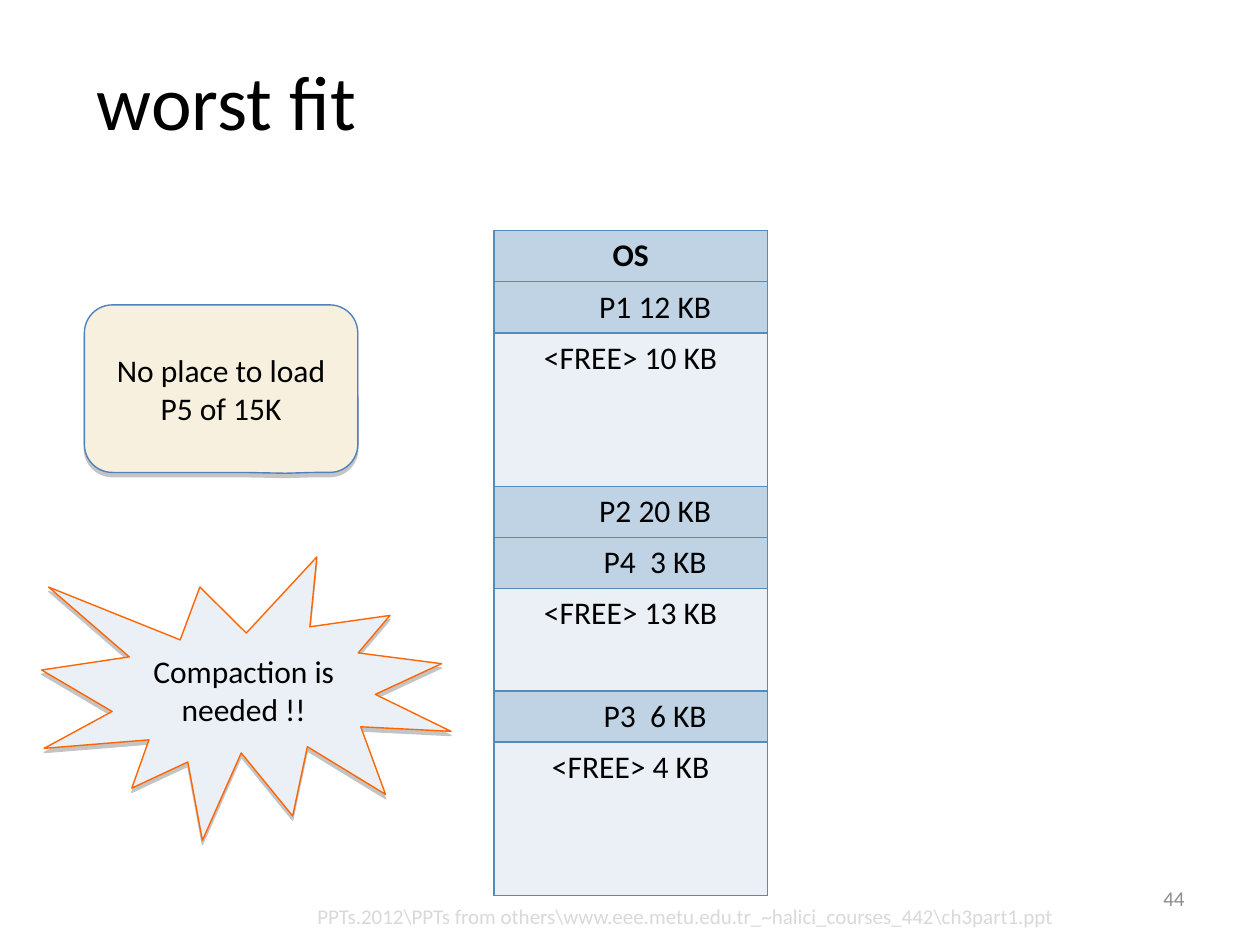
from lxml.etree import SubElement
from pptx import Presentation
from pptx.dml.color import RGBColor
from pptx.enum.shapes import MSO_SHAPE as Shape
from pptx.enum.text import MSO_ANCHOR as Anchor, PP_ALIGN as Align
from pptx.oxml import parse_xml
from pptx.oxml.ns import nsdecls, qn
from pptx.util import Inches, Pt

TITLE = "worst fit"
PAGE = "44"
SOURCE = r"PPTs.2012\PPTs from others\www.eee.metu.edu.tr_~halici_courses_442\ch3part1.ppt"

# Memory blocks from the top: label, rows spanned, kind
BLOCKS = [
    ("OS", 1, "system"),
    ("P1 12 KB", 1, "process"),
    ("<FREE> 10 KB", 3, "free"),
    ("P2 20 KB", 1, "process"),
    ("P4  3 KB", 1, "process"),
    ("<FREE> 13 KB", 2, "free"),
    ("P3  6 KB", 1, "process"),
    ("<FREE> 4 KB", 3, "free"),
]
# Text, preset, adjustments, (left, top, width, height), fill, line
REMARKS = [
    ("No place to load P5 of 15K", Shape.ROUNDED_RECTANGULAR_CALLOUT, (0.236, 0.505, 0.167),
     (0.67, 2.42, 2.17, 1.33), "F7F0DE", "4F81BD"),
    ("Compaction is needed !!", Shape.EXPLOSION1, (),
     (0.33, 4.42, 3.25, 2.25), "EAF0F6", "FF6600"),
]
USED, FREE, BORDER = "BFD3E4", "EAF0F6", "558BB8"
MAP_LEFT, MAP_TOP, MAP_WIDTH, MAP_HEIGHT = 3.92, 1.83, 2.17, 5.28
PROCESS_INDENT = 0.39


def color(value):
    return RGBColor.from_string(value)


def write(frame, text, size=18, ink="000000", bold=False, align=Align.CENTER, spacing=None):
    frame.word_wrap = True
    paragraph = frame.paragraphs[0]
    paragraph.alignment = align
    if spacing:
        paragraph.line_spacing = spacing
    run = paragraph.add_run()
    run.text = text
    run.font.name = "Calibri"
    run.font.size = Pt(size)
    run.font.bold = bold
    run.font.color.rgb = color(ink)


def add_label(slide, box, text, anchor=Anchor.MIDDLE, **style):
    frame = slide.shapes.add_textbox(*map(Inches, box)).text_frame
    frame.vertical_anchor = anchor
    write(frame, text, **style)


def drop_shadow(shape):
    """Hard grey shadow straight below the shape."""
    shape.shadow.inherit = False
    effects = shape._element.spPr.find(qn("a:effectLst"))
    effects.append(parse_xml(
        f'<a:outerShdw {nsdecls("a")} blurRad="0" dist="{Pt(2.4)}" dir="5400000" rotWithShape="0">'
        '<a:srgbClr val="808080"><a:alpha val="45000"/></a:srgbClr></a:outerShdw>'))


def add_remark(slide, text, preset, adjustments, box, fill, line):
    shape = slide.shapes.add_shape(preset, *map(Inches, box))
    for index, value in enumerate(adjustments):
        shape.adjustments[index] = value
    shape.fill.solid()
    shape.fill.fore_color.rgb = color(fill)
    shape.line.color.rgb = color(line)
    shape.line.width = Pt(0.79)
    drop_shadow(shape)
    shape.text_frame.vertical_anchor = Anchor.MIDDLE
    write(shape.text_frame, text)


def style_cell(cell, fill, edges):
    """Fill the cell and draw only the named edges (L, R, T, B)."""
    properties = cell._tc.get_or_add_tcPr()
    for edge in "LRTB":
        line = SubElement(properties, qn(f"a:ln{edge}"), w=str(Pt(1)))
        if edge in edges:
            paint = SubElement(line, qn("a:solidFill"))
            SubElement(paint, qn("a:srgbClr"), val=BORDER)
        else:
            SubElement(line, qn("a:noFill"))
    cell.fill.solid()
    cell.fill.fore_color.rgb = color(fill)


def add_memory_map(slide):
    row_count = sum(span for _, span, _ in BLOCKS)
    table = slide.shapes.add_table(
        row_count, 1, *map(Inches, (MAP_LEFT, MAP_TOP, MAP_WIDTH, MAP_HEIGHT))).table
    table.first_row = table.horz_banding = False
    for row in table.rows:
        row.height = Inches(MAP_HEIGHT / row_count)

    first = 0
    for label, span, kind in BLOCKS:
        for offset in range(span):
            edges = "LR" + "T" * (offset == 0) + "B" * (offset == span - 1)
            style_cell(table.cell(first + offset, 0), FREE if kind == "free" else USED, edges)
        head = table.cell(first, 0)
        if kind == "process":
            head.margin_left = Inches(0.1 + PROCESS_INDENT)
        write(head.text_frame, label, bold=kind == "system")
        first += span


def main():
    deck = Presentation()
    deck.slide_width, deck.slide_height = Inches(10), Inches(7.5)
    slide = deck.slides.add_slide(deck.slide_layouts[6])
    add_label(slide, (0.67, 0.25, 8.92, 1.08), TITLE, size=44, align=Align.LEFT)
    add_memory_map(slide)
    for remark in REMARKS:
        add_remark(slide, *remark)
    add_label(slide, (7.17, 6.95, 2.33, 0.4), PAGE, size=12, ink="8C8C8C",
              align=Align.RIGHT, spacing=0.8)
    add_label(slide, (2.42, 7.12, 6.09, 0.3), SOURCE, anchor=Anchor.TOP, size=12,
              ink="D9D9D9", align=Align.LEFT)
    deck.save("out.pptx")


if __name__ == "__main__":
    main()
